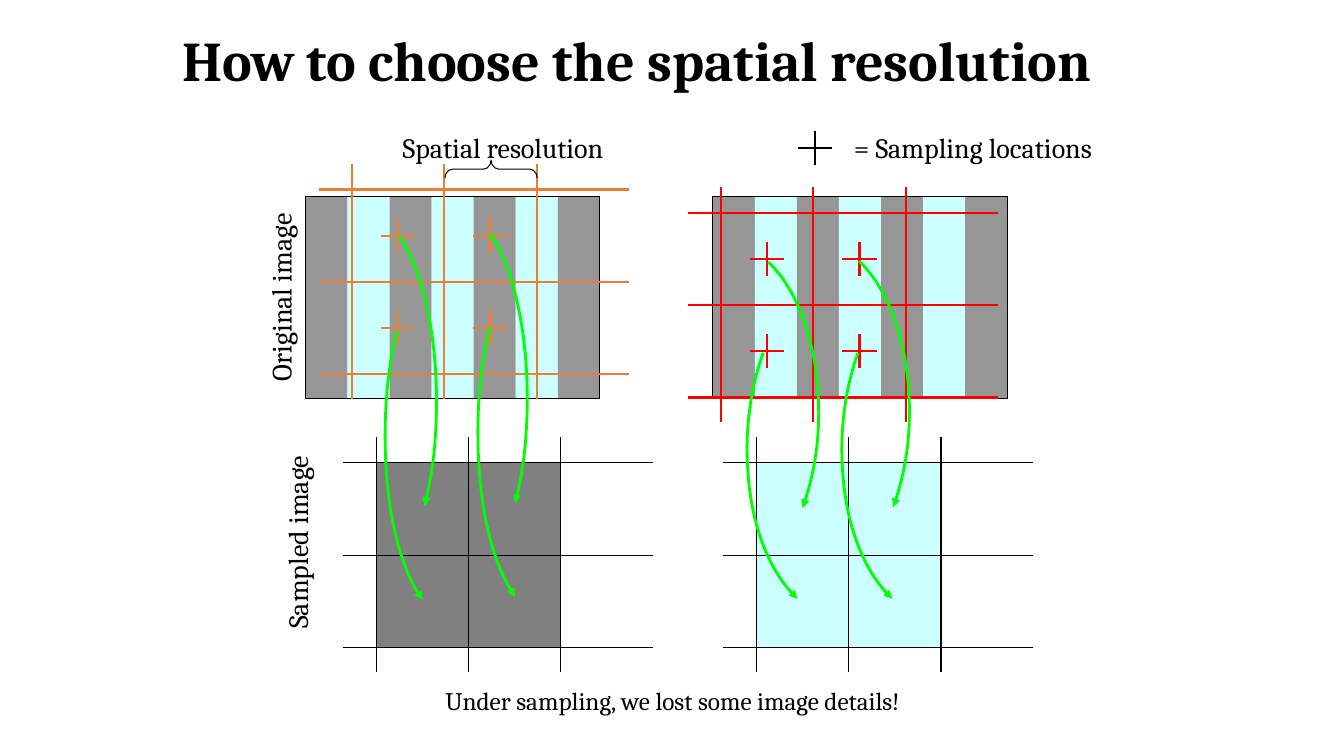
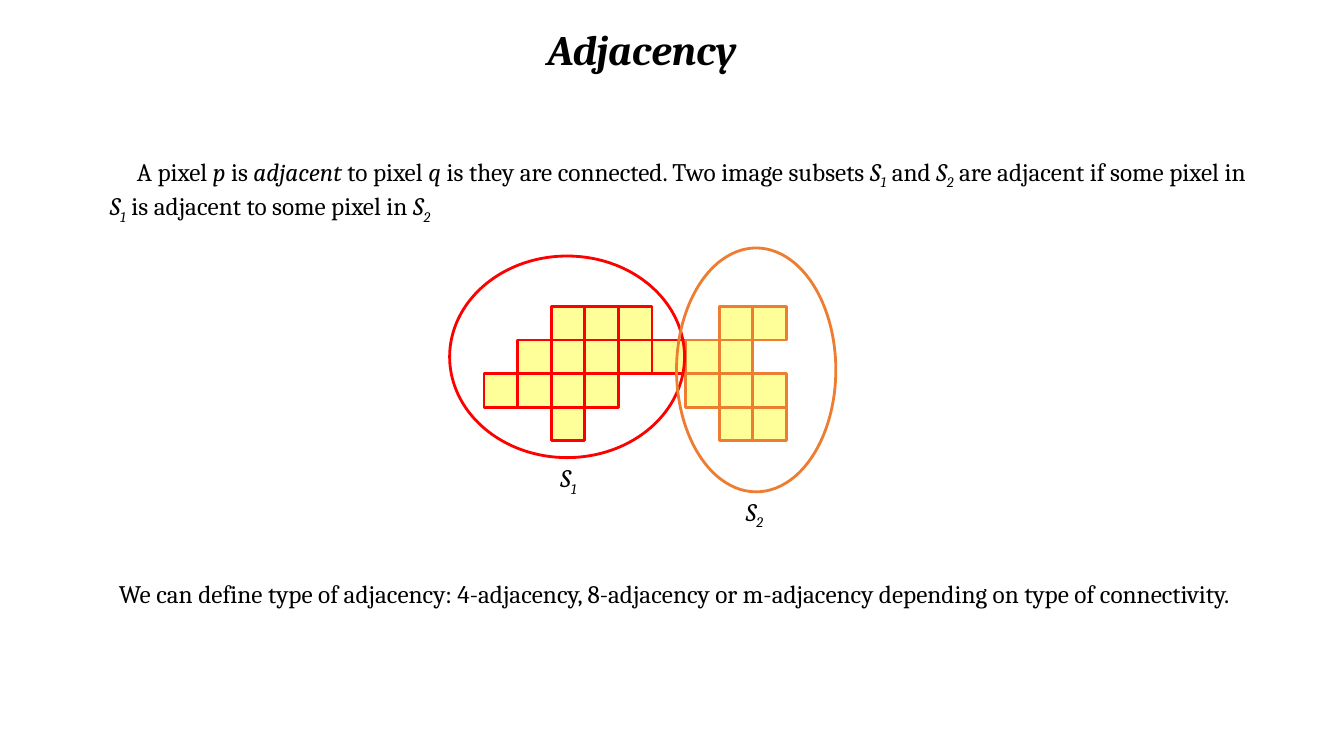
from lxml.etree import SubElement
from pptx import Presentation
from pptx.dml.color import RGBColor
from pptx.enum.shapes import MSO_CONNECTOR, MSO_SHAPE
from pptx.enum.text import PP_ALIGN
from pptx.oxml.ns import qn
from pptx.util import Inches, Pt

FONT = "Cambria"
COLORS = {
    "black": "000000", "gray": "969696", "dark_gray": "808080",
    "cyan": "CCFFFF", "yellow": "FFFF99", "red": "FF0000",
    "orange": "ED7D31", "green": "00FF00",
}

# Slide 1: sampling
IMAGE_TOP, IMAGE_WIDTH, IMAGE_HEIGHT, STRIPES = 1.95, 2.92, 2, 7
GRID_SPAN = 2.75
CELL = GRID_SPAN / 3
CROSS_ARM = 0.17
SAMPLED_TOP = 4.59

# Curves as offsets from the start: two Bezier segments of three points each
TALL_CURVE = [(-0.08, 0.3), (-0.12, 0.67), (-0.12, 1.04),
              (-0.12, 1.72), (0.02, 2.35), (0.25, 2.67)]
WIDE_CURVE = [(-0.1, 0.28), (-0.16, 0.61), (-0.16, 0.95),
              (-0.16, 1.58), (0.03, 2.15), (0.34, 2.44)]

# "down" curves start at a sample; "up" curves are turned half round and start at a pixel
SAMPLINGS = [
    {"image_left": 3.03, "grid": (3.49, 1.88), "grid_color": "orange",
     "sampled_left": 3.73, "sampled_color": "dark_gray", "curve": TALL_CURVE,
     "down": [(3.94, 3.28), (4.86, 3.25)], "up": [(4.21, 5.02), (5.11, 4.99)]},
    {"image_left": 7.07, "grid": (7.15, 2.11), "grid_color": "red",
     "sampled_left": 7.5, "sampled_color": "cyan", "curve": WIDE_CURVE,
     "down": [(7.57, 3.5), (8.51, 3.5)], "up": [(7.96, 5.04), (8.86, 5.03)]},
]
# text, left, top, width, height, size, rotation
SAMPLING_LABELS = [
    ("= Sampling locations", 8.31, 1.25, 2.68, 0.44, 20, 0),
    ("Spatial resolution", 3.84, 1.25, 2.3, 0.44, 20, 0),
    ("Original image", 1.81, 2.73, 1.95, 0.44, 20, 270),
    ("Sampled image", 1.94, 5.16, 2.02, 0.44, 20, 270),
    ("Under sampling, we lost some image details!", 4.18, 6.75, 4.98, 0.4, 18, 0),
]

# Slide 2: adjacency; styles are "" plain, "i" italic, "sub" italic subscript
S1 = [("S", "i"), ("1", "sub")]
S2 = [("S", "i"), ("2", "sub")]
DEFINITION = [
    ("A pixel ", ""), ("p", "i"), (" is ", ""), ("adjacent", "i"),
    (" to pixel ", ""), ("q", "i"),
    (" is they are connected. Two image subsets ", ""), *S1, (" and ", ""), *S2,
    (" are adjacent if some pixel in ", ""), *S1,
    (" is adjacent to some pixel in ", ""), *S2,
]
ADJACENCY_TYPES = ("We can define type of adjacency: 4-adjacency, 8-adjacency or "
                   "m-adjacency depending on type of connectivity.")
PIXEL_ORIGIN = (4.8, 3.04)
PIXEL = 1 / 3
PIXEL_ROWS = ["..111..22",
              ".1111122.",
              "1111..222",
              "..1....22"]
SUBSETS = [
    {"mark": "1", "color": "red", "outline": (4.46, 2.54, 2.33, 2),
     "label": S1, "label_at": (5.46, 4.54)},
    {"mark": "2", "color": "orange", "outline": (6.71, 2.46, 1.58, 2.42),
     "label": S2, "label_at": (7.3, 4.87)},
]


def rgb(name):
    return RGBColor.from_string(COLORS[name])


def set_line(line, color, width):
    line.color.rgb = rgb(color)
    line.width = Pt(width)


def add_text(slide, runs, left, top, width, height, size,
             align=PP_ALIGN.LEFT, bold=False, rotation=0, indent=0):
    box = slide.shapes.add_textbox(Inches(left), Inches(top), Inches(width), Inches(height))
    box.rotation = rotation
    box.text_frame.word_wrap = True
    paragraph = box.text_frame.paragraphs[0]
    paragraph.alignment = align
    if indent:
        paragraph._p.get_or_add_pPr().set("indent", str(Inches(indent)))
    for text, style in runs:
        run = paragraph.add_run()
        run.text = text
        run.font.name = FONT
        run.font.size = Pt(size)
        run.font.color.rgb = rgb("black")
        run.font.bold = bold
        run.font.italic = style in ("i", "sub")
        if style == "sub":
            run._r.get_or_add_rPr().set("baseline", "-25000")


def add_title(slide, text, left, top, width, height, size, style=""):
    add_text(slide, [(text, style)], left, top, width, height, size, bold=True)


def add_preset(slide, kind, left, top, width, height, fill=None, line=None, line_width=0.75):
    shape = slide.shapes.add_shape(kind, Inches(left), Inches(top), Inches(width), Inches(height))
    shape.shadow.inherit = False
    if fill:
        shape.fill.solid()
        shape.fill.fore_color.rgb = rgb(fill)
    else:
        shape.fill.background()
    if line:
        set_line(shape.line, line, line_width)
    else:
        shape.line.fill.background()
    return shape


def add_line(slide, x1, y1, x2, y2, color, width):
    line = slide.shapes.add_connector(
        MSO_CONNECTOR.STRAIGHT, Inches(x1), Inches(y1), Inches(x2), Inches(y2))
    set_line(line.line, color, width)
    SubElement(line._element.spPr, qn("a:effectLst"))


def add_grid(slide, left, top, color, width):
    for i in range(3):
        x, y = left + i * CELL, top + i * CELL
        add_line(slide, x, top - 0.25, x, top + 2.08, color, width)
        add_line(slide, left - 0.33, y, left + GRID_SPAN, y, color, width)


def add_cross(slide, x, y, color):
    add_line(slide, x, y - CROSS_ARM, x, y + CROSS_ARM, color, 1.5)
    add_line(slide, x - CROSS_ARM, y, x + CROSS_ARM, y, color, 1.5)


def add_curved_arrow(slide, start, curve, turned):
    """Draw the curve from start; a turned one has its arrowhead at the start."""
    sign = -1 if turned else 1
    x, y = start
    builder = slide.shapes.build_freeform(Inches(x), Inches(y))
    builder.add_line_segments(
        [(Inches(x + sign * dx), Inches(y + sign * dy)) for dx, dy in curve], close=False)
    arrow = builder.convert_to_shape()
    arrow.shadow.inherit = False
    arrow.fill.background()
    set_line(arrow.line, "green", 2)

    # Merge each three straight segments into one Bezier segment
    segments = list(arrow._element.iter(qn("a:lnTo")))
    for i in range(0, len(segments), 3):
        bezier = SubElement(segments[i].getparent(), qn("a:cubicBezTo"))
        for segment in segments[i:i + 3]:
            bezier.append(segment[0])
            segment.getparent().remove(segment)

    end = "a:headEnd" if turned else "a:tailEnd"
    SubElement(arrow.line._get_or_add_ln(), qn(end), type="triangle")


def add_sampling(slide, sampling):
    stripe = IMAGE_WIDTH / STRIPES
    left = sampling["image_left"]
    for i in range(STRIPES):
        add_preset(slide, MSO_SHAPE.RECTANGLE, left + i * stripe, IMAGE_TOP,
                   stripe, IMAGE_HEIGHT, "cyan" if i % 2 else "gray")
    add_preset(slide, MSO_SHAPE.RECTANGLE, left, IMAGE_TOP,
               IMAGE_WIDTH, IMAGE_HEIGHT, line="black")

    grid_left, grid_top = sampling["grid"]
    add_grid(slide, grid_left, grid_top, sampling["grid_color"], 1.5)
    for row in range(2):
        for column in range(2):
            add_cross(slide, grid_left + (column + 0.5) * CELL,
                      grid_top + (row + 0.5) * CELL, sampling["grid_color"])
            add_preset(slide, MSO_SHAPE.RECTANGLE, sampling["sampled_left"] + column * CELL,
                       SAMPLED_TOP + row * CELL, CELL, CELL, sampling["sampled_color"])
    add_grid(slide, sampling["sampled_left"], SAMPLED_TOP, "black", 0.75)

    for direction in ("down", "up"):
        for start in sampling[direction]:
            add_curved_arrow(slide, start, sampling["curve"], direction == "up")


def build_sampling_slide(slide):
    add_title(slide, "How to choose the spatial resolution", 1.71, 0.2, 9.54, 0.77, 40)
    for sampling in SAMPLINGS:
        add_sampling(slide, sampling)
    add_cross(slide, 8.08, 1.47, "black")
    brace = add_preset(slide, MSO_SHAPE.LEFT_BRACE, 4.78, 1.22, 0.18, CELL, line="black")
    brace.rotation = 90
    brace.adjustments[0] = 0.42
    for text, left, top, width, height, size, rotation in SAMPLING_LABELS:
        add_text(slide, [(text, "")], left, top, width, height, size,
                 PP_ALIGN.CENTER, rotation=rotation)


def build_adjacency_slide(slide):
    add_title(slide, "Adjacency", 5.33, 0.18, 2.4, 0.61, 30, "i")
    add_text(slide, DEFINITION, 0.99, 1.5, 11.51, 0.71, 18, indent=0.27)
    left, top = PIXEL_ORIGIN
    for subset in SUBSETS:
        for row, marks in enumerate(PIXEL_ROWS):
            for column, mark in enumerate(marks):
                if mark == subset["mark"]:
                    add_preset(slide, MSO_SHAPE.RECTANGLE, left + column * PIXEL,
                               top + row * PIXEL, PIXEL, PIXEL, "yellow", subset["color"], 2)
    for subset in SUBSETS:
        add_preset(slide, MSO_SHAPE.OVAL, *subset["outline"],
                   line=subset["color"], line_width=2)
        add_text(slide, subset["label"], *subset["label_at"], 0.41, 0.4, 18)
    add_text(slide, [(ADJACENCY_TYPES, "")], 1.08, 5.69, 11.29, 0.71, 18)


def main():
    deck = Presentation()
    deck.slide_width, deck.slide_height = Inches(13.33), Inches(7.5)
    blank = deck.slide_layouts[6]
    for build in (build_sampling_slide, build_adjacency_slide):
        build(deck.slides.add_slide(blank))
    deck.save("out.pptx")


if __name__ == "__main__":
    main()
